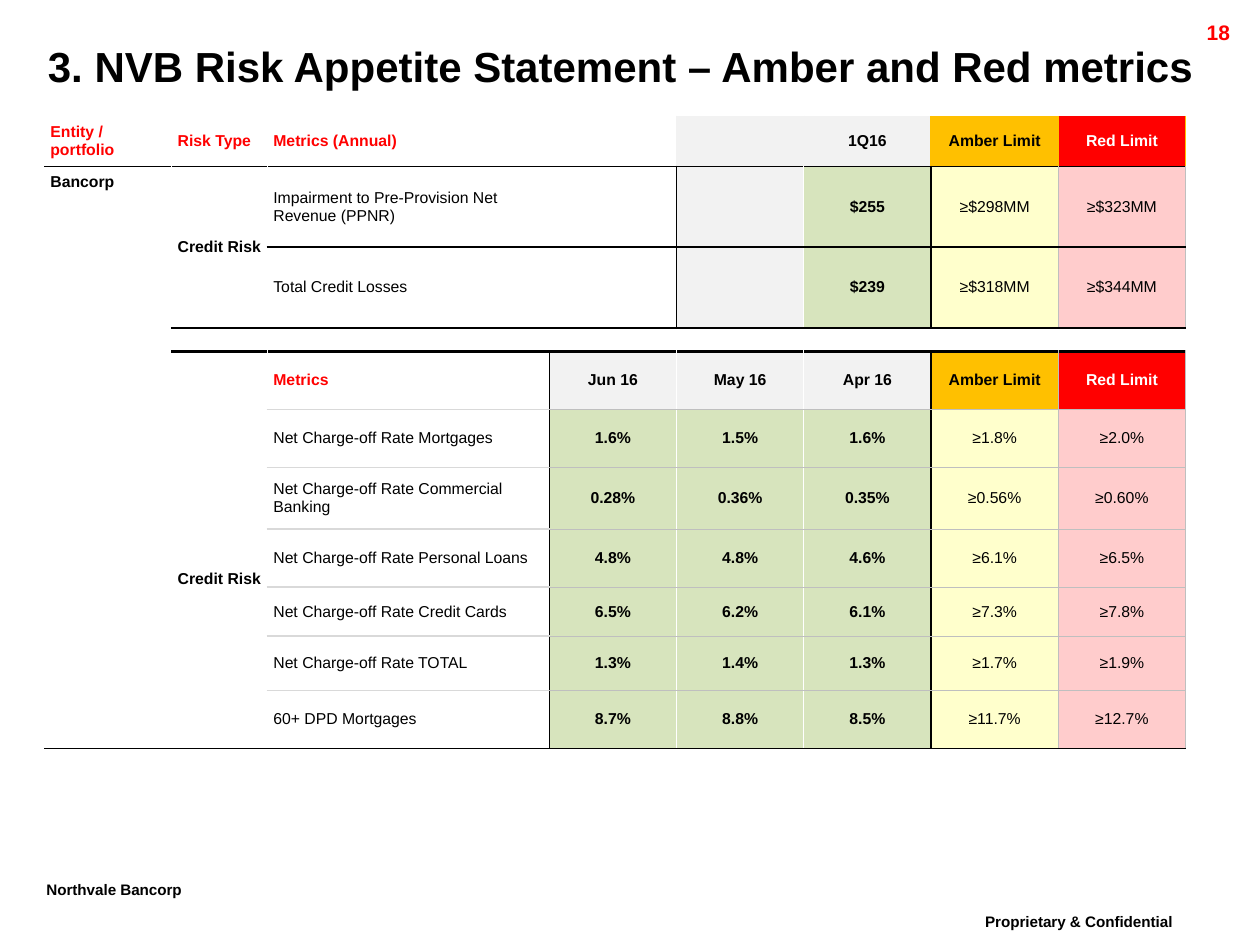
from lxml import etree
from pptx import Presentation
from pptx.dml.color import RGBColor
from pptx.enum import text as t
from pptx.oxml import ns
from pptx.util import Inches, Pt

BLACK = RGBColor(0x00, 0x00, 0x00)
WHITE = RGBColor(0xFF, 0xFF, 0xFF)
RED = RGBColor(0xFF, 0x00, 0x00)
AMBER = RGBColor(0xFF, 0xC0, 0x00)
PALE_RED = RGBColor(0xFF, 0xCC, 0xCC)
PALE_AMBER = RGBColor(0xFF, 0xFF, 0xCC)
GREEN = RGBColor(0xD7, 0xE4, 0xBD)
PALE_GREY = RGBColor(0xF2, 0xF2, 0xF2)
LIGHT_GREY = RGBColor(0xD9, 0xD9, 0xD9)
GREY = RGBColor(0xBF, 0xBF, 0xBF)

NO_STYLE = "{2D5ABB26-0587-4C30-8999-92F81FD0307C}"
COLUMNS = [1.01, 0.76, 2.24] + [1.01] * 5
ROWS = [0.37, 0.4, 0.64, 0.64, 0.19, 0.46, 0.46, 0.49, 0.46, 0.39, 0.43, 0.46]
MERGES = [(0, 0, 0, 7), (2, 0, 3, 0), (2, 1, 3, 1), (2, 2, 2, 3),
          (3, 2, 3, 3), (4, 1, 4, 7), (6, 1, 11, 1)]
TITLE_ROW, ANNUAL_HEAD, GAP_ROW, MONTHLY_HEAD, LAST_ROW = 0, 1, 4, 5, 11
METRICS = [
    ["", "", "", "", "", "", "", ""],
    ["Entity / portfolio", "Risk Type", "Metrics (Annual)", "", "",
     "1Q16", "Amber Limit", "Red Limit"],
    ["Bancorp", "Credit Risk", "Impairment to Pre-Provision Net\nRevenue (PPNR)",
     "", "", "$255", "≥$298MM", "≥$323MM"],
    ["", "", "Total Credit Losses", "", "", "$239", "≥$318MM", "≥$344MM"],
    ["", "", "", "", "", "", "", ""],
    ["", "", "Metrics", "Jun 16", "May 16", "Apr 16", "Amber Limit", "Red Limit"],
    ["", "Credit Risk", "Net Charge-off Rate Mortgages",
     "1.6%", "1.5%", "1.6%", "≥1.8%", "≥2.0%"],
    ["", "", "Net Charge-off Rate Commercial Banking",
     "0.28%", "0.36%", "0.35%", "≥0.56%", "≥0.60%"],
    ["", "", "Net Charge-off Rate Personal Loans",
     "4.8%", "4.8%", "4.6%", "≥6.1%", "≥6.5%"],
    ["", "", "Net Charge-off Rate Credit Cards",
     "6.5%", "6.2%", "6.1%", "≥7.3%", "≥7.8%"],
    ["", "", "Net Charge-off Rate TOTAL",
     "1.3%", "1.4%", "1.3%", "≥1.7%", "≥1.9%"],
    ["", "", "60+ DPD Mortgages",
     "8.7%", "8.8%", "8.5%", "≥11.7%", "≥12.7%"],
]


def write(frame, content, size=9, color=BLACK, bold=True,
          align=t.PP_ALIGN.LEFT, baseline=None):
    for index, line in enumerate(content.split("\n")):
        paragraph = frame.add_paragraph() if index else frame.paragraphs[0]
        paragraph.alignment = align
        run = paragraph.add_run()
        run.text = line
        run.font.name = "Arial"
        run.font.size = Pt(size)
        run.font.bold = bold
        run.font.color.rgb = color
        if baseline:
            run.font._element.set("baseline", str(baseline))


def add_title(slide, box):
    title = slide.shapes.title
    title.left, title.top, title.width, title.height = map(Inches, box)
    frame = title.text_frame
    frame.auto_size = t.MSO_AUTO_SIZE.NONE
    frame.vertical_anchor = t.MSO_ANCHOR.TOP
    frame.word_wrap = True
    write(frame, "3. NVB Risk Appetite Statement – Amber and Red metrics", size=24)


def add_label(slide, box, content, wrap=True, **style):
    frame = slide.shapes.add_textbox(*map(Inches, box)).text_frame
    frame.word_wrap = wrap
    write(frame, content, **style)


def line_below(row, column):
    if row == LAST_ROW:
        return BLACK, 1
    if row in (3, GAP_ROW):
        return (BLACK, 1.5) if column else None
    if row == ANNUAL_HEAD or (row == 2 and column > 1):
        return BLACK, 1
    if row >= MONTHLY_HEAD and column > 1:
        return (LIGHT_GREY, 1) if column == 2 else (GREY, 0.75)
    return None


def line_left_of(row, column):
    if row in (TITLE_ROW, GAP_ROW) or column == 0:
        return None
    if row == ANNUAL_HEAD:
        return [WHITE] * 3 + [None] + [PALE_GREY] * 2 + [AMBER] * 3, 1
    if column > 6:
        return GREY, 0.75
    divider = 4 if row < GAP_ROW else 3
    if column in (divider, 6):
        return BLACK, 1
    if column == 3 or (column == 1 and row > 3):
        return None
    return WHITE, 0.75


def draw_border(cell, row, column):
    bottom = row + max(cell.span_height, 1) - 1
    right = column + max(cell.span_width, 1)
    sides = {"lnL": line_left_of(row, column), "lnR": line_left_of(row, right),
             "lnT": line_below(row - 1, column) if row else None,
             "lnB": line_below(bottom, column)}
    properties = cell._tc.get_or_add_tcPr()
    for (side, line), edge in zip(sides.items(), (column, right, 0, 0)):
        color, width = line or (None, 0)
        if isinstance(color, list):
            color = color[edge]
        border = etree.SubElement(properties, ns.qn("a:" + side), w=str(Pt(width)))
        if color is None:
            etree.SubElement(border, ns.qn("a:noFill"))
        else:
            solid = etree.SubElement(border, ns.qn("a:solidFill"))
            etree.SubElement(solid, ns.qn("a:srgbClr"), val=str(color))


def cell_fill(row, column):
    if row in (TITLE_ROW, GAP_ROW) or column < 3:
        return None
    if row < GAP_ROW and column < 5:
        return PALE_GREY if column == 4 else None
    is_head = row in (ANNUAL_HEAD, MONTHLY_HEAD)
    if column == 6:
        return AMBER if is_head else PALE_AMBER
    if column == 7:
        return RED if is_head else PALE_RED
    return PALE_GREY if is_head else GREEN


def fill_cell(cell, row, column, content):
    draw_border(cell, row, column)
    color = cell_fill(row, column)
    if color is None:
        cell.fill.background()
    else:
        cell.fill.solid()
        cell.fill.fore_color.rgb = color
    margin = Inches(0.05 if content else 0)
    cell.margin_left = cell.margin_right = margin
    cell.margin_top = cell.margin_bottom = margin
    if not content:
        etree.SubElement(cell.text_frame.paragraphs[0]._p,
                         ns.qn("a:endParaRPr"), sz="600")
        return
    is_head = row in (ANNUAL_HEAD, MONTHLY_HEAD)
    is_entity = (row, column) == (2, 0)
    cell.vertical_anchor = t.MSO_ANCHOR.TOP if is_entity else t.MSO_ANCHOR.MIDDLE
    ink = BLACK
    if is_head:
        ink = RED if column < 3 else WHITE if column == 7 else BLACK
    write(cell.text_frame, content, color=ink,
          bold=is_head or column not in (2, 6, 7),
          align=t.PP_ALIGN.CENTER if column > 2 else t.PP_ALIGN.LEFT)


def add_metrics_table(slide, box):
    frame = slide.shapes.add_table(len(ROWS), len(COLUMNS), *map(Inches, box))
    table = frame.table
    table.first_row = table.horz_banding = False
    table._tbl.tblPr.find(ns.qn("a:tableStyleId")).text = NO_STYLE
    for column, width in zip(table.columns, COLUMNS):
        column.width = Inches(width)
    for row, height in zip(table.rows, ROWS):
        row.height = Inches(height)
    for top, left, bottom, right in MERGES:
        table.cell(top, left).merge(table.cell(bottom, right))
    for row, contents in enumerate(METRICS):
        for column, content in enumerate(contents):
            fill_cell(table.cell(row, column), row, column, content)


def main():
    deck = Presentation()
    deck.slide_width, deck.slide_height = Inches(10), Inches(7.5)
    slide = deck.slides.add_slide(deck.slide_layouts[5])
    add_label(slide, (7.72, 7.17, 2.18, 0.35), "Proprietary & Confidential",
              size=15, baseline=30000)
    add_label(slide, (0.27, 6.91, 1.49, 0.35), "Northvale Bancorp", wrap=False,
              size=15, baseline=30000)
    add_title(slide, (0.28, 0.27, 9.72, 0.5))
    add_metrics_table(slide, (0.35, 0.55, sum(COLUMNS), sum(ROWS)))
    add_label(slide, (8.91, 0.11, 0.95, 0.24), "18", size=12, color=RED,
              align=t.PP_ALIGN.RIGHT)
    deck.save("out.pptx")


if __name__ == "__main__":
    main()
